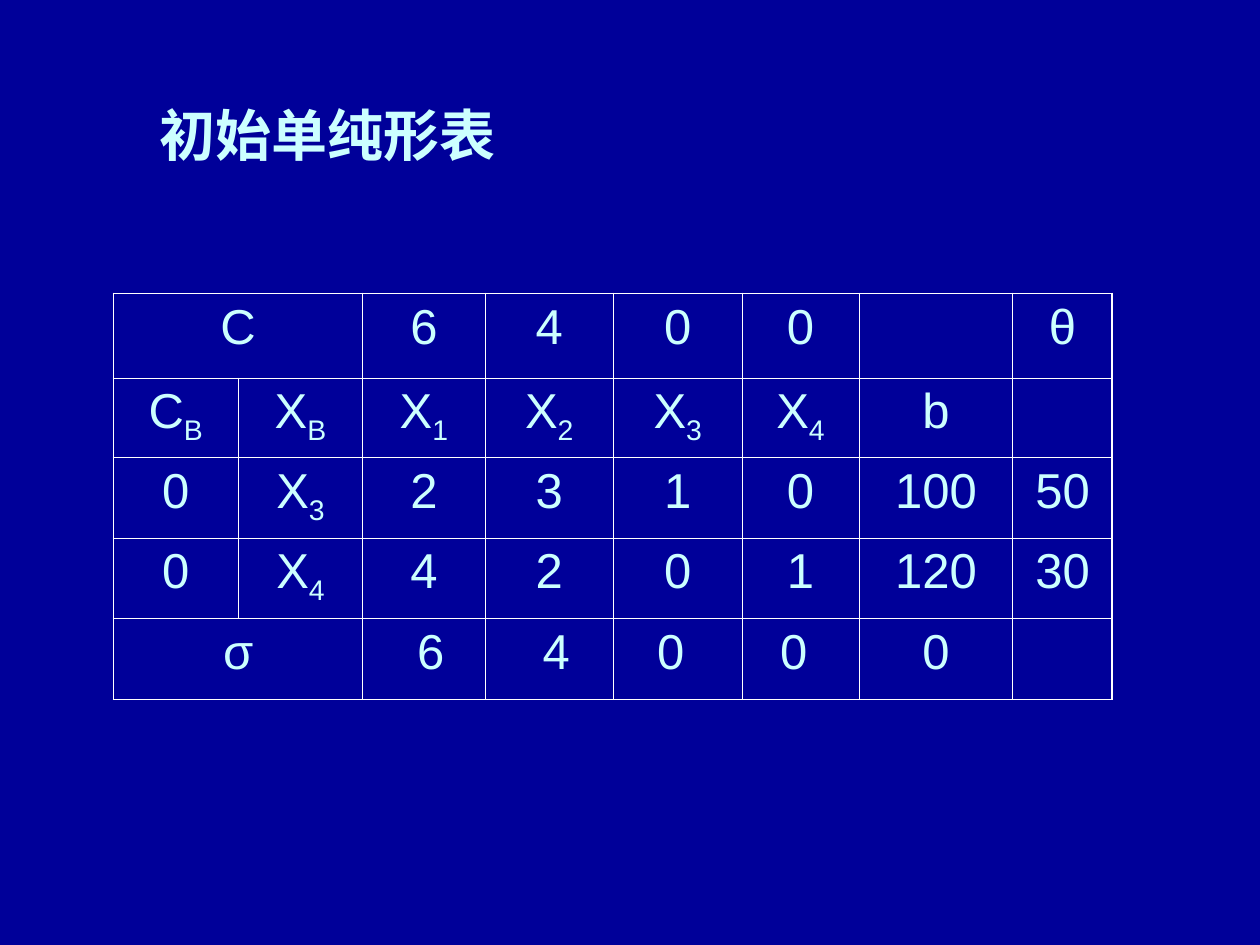
import pptx
import pptx.dml.color
import pptx.enum.text
import pptx.oxml.ns
import pptx.util
from lxml import etree
from pptx.util import Inches

BACKGROUND, TEXT, RULE = "000099", "CCFFFF", "FFFFFF"
INNER_RULE, OUTER_RULE = 0.45, 1.08
COLUMN_WIDTHS = [0.99, 0.99, 0.97, 1.02, 1.02, 0.93, 1.22, 0.79]
ROW_HEIGHTS = [0.67, 0.63, 0.64, 0.64, 0.64]
# An underscore separates a symbol from its subscript.
SIMPLEX_ROWS = [
    ["C", "", "6", "4", "0", "0", "", "θ"],
    ["C_B", "X_B", "X_1", "X_2", "X_3", "X_4", "b", ""],
    ["0", "X_3", "2", "3", "1", "0", "100", "50"],
    ["0", "X_4", "4", "2", "0", "1", "120", "30"],
    ["σ", "", "6", "4", "0", "0", "0", ""],
]
MERGED_ROWS = (0, 4)
# In the σ row some values sit slightly right or left of centre.
SIGMA_MARGINS = {2: "margin_left", 3: "margin_left", 4: "margin_right", 5: "margin_right"}


def color(hex_string):
    return pptx.dml.color.RGBColor.from_string(hex_string)


def add_run(paragraph, text, size, typeface, bold=False):
    run = paragraph.add_run()
    run.text = text
    run.font.color.rgb = color(TEXT)
    formats = {"size": pptx.util.Pt(size), "name": typeface, "bold": bold}
    for attribute, value in formats.items():
        setattr(run.font, attribute, value)
    return run


def add_title(slide, text):
    title = slide.shapes.add_textbox(Inches(1.17), Inches(0.75), Inches(7.42), Inches(0.64))
    title.text_frame.word_wrap = True
    add_run(title.text_frame.paragraphs[0], text, 32, "Times New Roman", bold=True)


def write_entry(cell, entry):
    """Write a centred symbol with its optional subscript."""
    paragraph = cell.text_frame.paragraphs[0]
    paragraph.alignment = pptx.enum.text.PP_ALIGN.CENTER
    symbol, _, subscript = entry.partition("_")
    if symbol:
        add_run(paragraph, symbol, 28, "Arial")
    if subscript:
        run = add_run(paragraph, subscript, 28, "Arial")
        run.font._element.set("baseline", "-25000")


def rule_cell(cell, outer_sides):
    """Draw the four borders, heavier on the outer sides of the table."""
    properties = cell._tc.get_or_add_tcPr()
    qn = pptx.oxml.ns.qn
    for side in "LRTB":
        width = OUTER_RULE if side in outer_sides else INNER_RULE
        line = etree.SubElement(properties, qn(f"a:ln{side}"), w=str(pptx.util.Pt(width)))
        fill = etree.SubElement(line, qn("a:solidFill"))
        etree.SubElement(fill, qn("a:srgbClr"), val=RULE)


def add_simplex_table(slide):
    row_count, column_count = len(ROW_HEIGHTS), len(COLUMN_WIDTHS)
    table = slide.shapes.add_table(
        row_count, column_count, Inches(0.9), Inches(2.33),
        Inches(sum(COLUMN_WIDTHS)), Inches(sum(ROW_HEIGHTS))).table
    table.first_row = table.horz_banding = False
    for column, width in zip(table.columns, COLUMN_WIDTHS):
        column.width = Inches(width)
    for row, height in zip(table.rows, ROW_HEIGHTS):
        row.height = Inches(height)

    for r, entries in enumerate(SIMPLEX_ROWS):
        for c, entry in enumerate(entries):
            cell = table.cell(r, c)
            edges = {"L": c == 0, "R": c == column_count - 1,
                     "T": r == 0, "B": r == row_count - 1}
            rule_cell(cell, [side for side, is_outer in edges.items() if is_outer])
            cell.fill.background()
            write_entry(cell, entry)
    for r in MERGED_ROWS:
        table.cell(r, 0).merge(table.cell(r, 1))
    for c, margin in SIGMA_MARGINS.items():
        setattr(table.cell(row_count - 1, c), margin, Inches(0.21))


def main():
    presentation = pptx.Presentation()
    presentation.slide_width, presentation.slide_height = Inches(10), Inches(7.5)
    slide = presentation.slides.add_slide(presentation.slide_layouts[6])
    slide.background.fill.solid()
    slide.background.fill.fore_color.rgb = color(BACKGROUND)
    add_title(slide, "初始单纯形表")
    add_simplex_table(slide)
    presentation.save("out.pptx")


if __name__ == "__main__":
    main()
